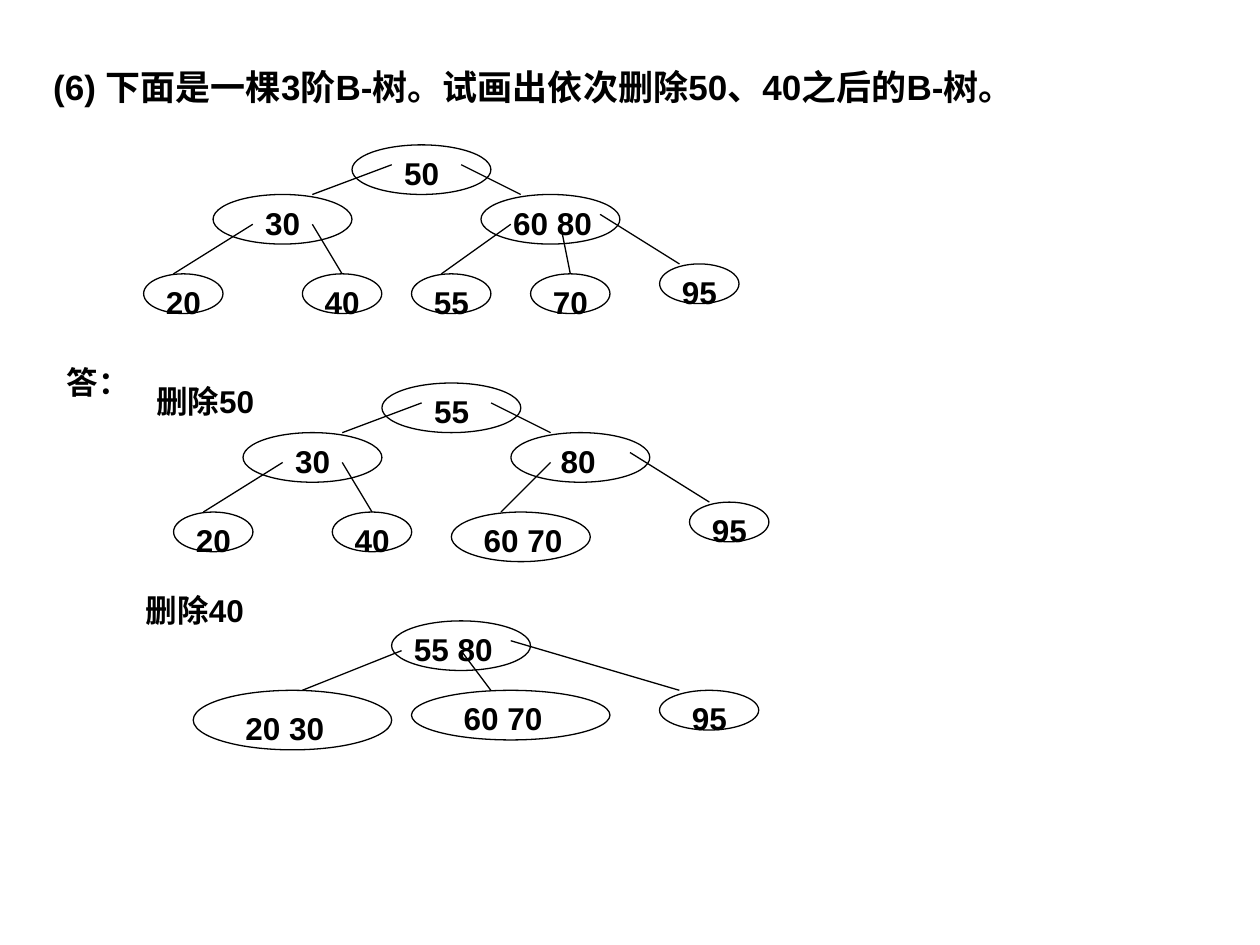
from lxml.etree import SubElement
from pptx import Presentation
from pptx.dml.color import RGBColor
from pptx.enum.shapes import MSO_CONNECTOR as LINE, MSO_SHAPE as SHAPE
from pptx.enum.text import MSO_ANCHOR as ANCHOR, MSO_AUTO_SIZE as AUTO, PP_ALIGN as ALIGN
from pptx.oxml.ns import qn
from pptx.util import Pt

BLACK = RGBColor(0, 0, 0)
WHITE = RGBColor(255, 255, 255)
UNIT = 5.67
TALL = 28.8

FONT = {"name": "Arial", "bold": True}
FRAME = {"word_wrap": True, "auto_size": AUTO.NONE, "vertical_anchor": ANCHOR.TOP,
         "margin_left": Pt(7.2), "margin_right": Pt(7.2),
         "margin_top": Pt(5.2), "margin_bottom": Pt(3.6)}
HEAD = {**FRAME, "margin_left": Pt(16), "margin_top": Pt(17.5)}

BIG, LEAF = (14, 5), (8, 4)
LEFT = [("30", (7, 5), BIG, (4, 0, 10)),
        ("20", (0, 13), LEAF, (1, 0, 7)),
        ("40", (16, 13), LEAF, (1, 0, 8)),
        ("95", (52, 12), LEAF, (1, 0, 10))]
EDGES = [(25, 2, 17, 5), (32, 2, 38, 5), (11, 8, 3, 13), (17, 8, 20, 13), (46, 7, 54, 12)]

TREES = [
    ((82.1, 82.8),
     LEFT + [("50", (21, 0), BIG, (4, 0, 8)),
             ("60 80", (34, 5), BIG, (2, 0, 12)),
             ("55", (27, 13), LEAF, (1, 0, 7)),
             ("70", (39, 13), LEAF, (1, 0, 7))],
     EDGES + [(37, 8, 30, 13), (42, 8, 43, 13)]),
    ((99.2, 218.9),
     LEFT + [("55", (21, 0), BIG, (4, 0, 8)),
             ("80", (34, 5), BIG, (3.76, 0, 10)),
             ("60 70", (28, 13), BIG, (2, 0, 12))],
     EDGES + [(38, 8, 33, 13)]),
    ((110.4, 354.8),
     [("55 80", (20, 0), BIG, (1, 0, 18)),
      ("20 30", (0, 7), (20, 6), (4, 1, 20)),
      ("60 70", (22, 7), (20, 5), (4, 0, 19)),
      ("95", (47, 7), (10, 4), (2, 0, 12))],
     [(21, 3, 11, 7), (27, 3, 30, 7), (32, 2, 49, 7)]),
]
LABELS = [("答：", (31, 202.3, 62.6)),
          ("删除50", (82.1, 213.1, 79.2)),
          ("删除40", (76.3, 332.6, 96.5))]


def style(item, form):
    """Set every attribute named in a format dict."""
    for key, value in form.items():
        setattr(item, key, value)


def write(shape, text, size, form=FRAME):
    """Fill a shape with one line of bold black text."""
    frame = shape.text_frame
    style(frame, form)
    frame.text = text
    line = frame.paragraphs[0]
    line.alignment = ALIGN.LEFT
    font = line.runs[0].font
    style(font, {**FONT, "size": Pt(size)})
    font.color.rgb = BLACK


def label(shapes, text, box):
    """Add a text box at left, top and width in points."""
    left, top, wide = box
    write(shapes.add_textbox(Pt(left), Pt(top), Pt(wide), Pt(TALL)), text, 18)


def ink(line):
    """Give an outline the thin black pen."""
    line.color.rgb = BLACK
    line.width = Pt(0.75)


def oval(shapes, left, top, wide, high):
    """Add one white node outline."""
    node = shapes.add_shape(SHAPE.OVAL, Pt(left), Pt(top), Pt(wide), Pt(high))
    node.shadow.inherit = False
    node.fill.solid()
    node.fill.fore_color.rgb = WHITE
    ink(node.line)


def link(shapes, ends):
    """Add one straight edge between two points."""
    edge = shapes.add_connector(LINE.STRAIGHT, *(Pt(end) for end in ends))
    ink(edge.line)
    SubElement(edge._element.spPr, qn("a:effectLst"))


def tree(slide, start, nodes, edges):
    """Draw a grouped tree on a unit grid from its top left corner."""
    x, y = start
    shapes = slide.shapes.add_group_shape().shapes
    for _, (col, row), (wide, high), _ in nodes:
        oval(shapes, x + col * UNIT, y + row * UNIT, wide * UNIT, high * UNIT)
    for x1, y1, x2, y2 in edges:
        link(shapes, (x + x1 * UNIT, y + y1 * UNIT, x + x2 * UNIT, y + y2 * UNIT))
    for text, (col, row), _, (dx, dy, wide) in nodes:
        label(shapes, text, (x + (col + dx) * UNIT, y + (row + dy) * UNIT, wide * UNIT))


def title(slide, box):
    """Place the question in the title."""
    head = slide.shapes.title
    style(head, dict(zip(("left", "top", "width", "height"), map(Pt, box))))
    write(head, "(6) 下面是一棵3阶B-树。试画出依次删除50、40之后的B-树。", 20, HEAD)


def main():
    """Build and save the slide."""
    deck = Presentation()
    style(deck, {"slide_width": Pt(720), "slide_height": Pt(540)})
    slide = deck.slides.add_slide(deck.slide_layouts.get_by_name("Title Only"))
    title(slide, (14.4, 20.2, 686.2, 493.2))
    for part in TREES:
        tree(slide, *part)
    for text, box in LABELS:
        label(slide.shapes, text, box)
    deck.save("out.pptx")


if __name__ == "__main__":
    main()
